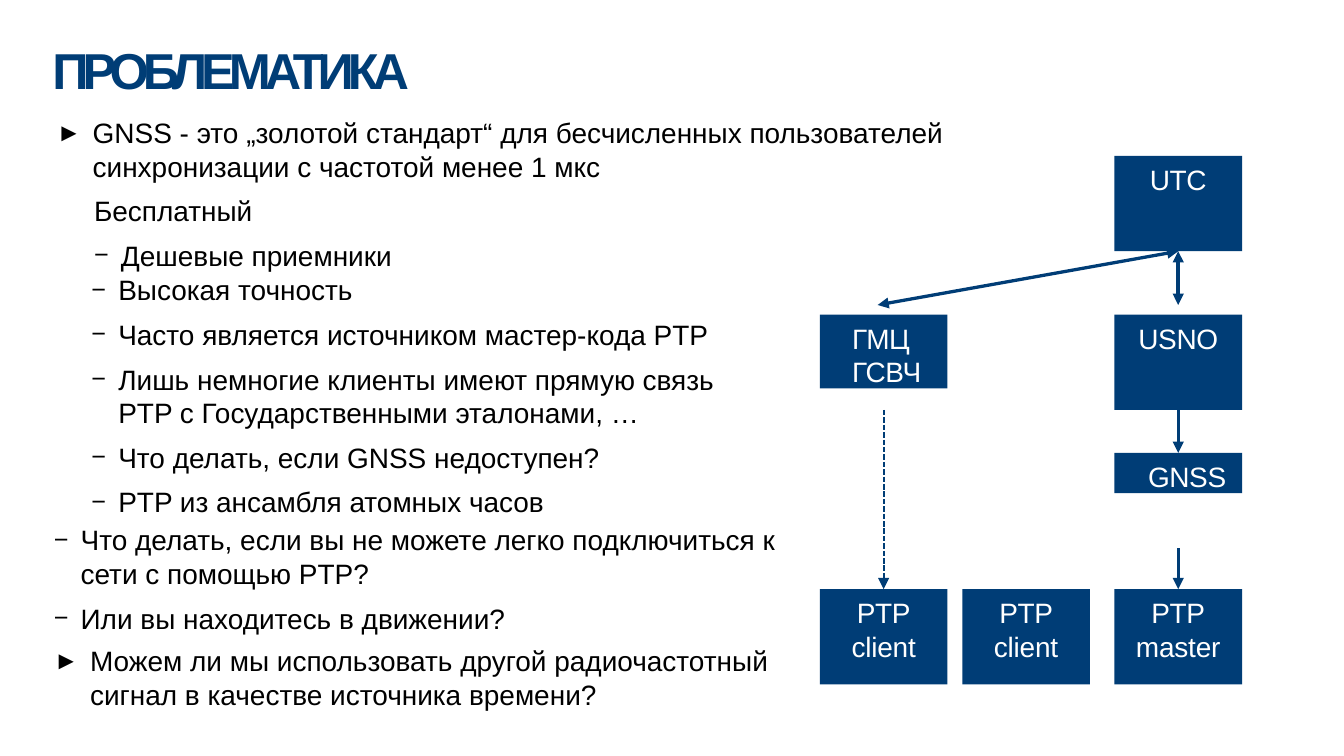
import pptx
import pptx.dml.color
import pptx.enum.dml
import pptx.enum.shapes
import pptx.enum.text
import pptx.oxml.ns
import pptx.util
from lxml import etree

Pt = pptx.util.Pt
ALIGN = pptx.enum.text.PP_ALIGN
NAVY, BLACK, WHITE = "003D76", "000000", "FFFFFF"
BOX_WIDTH, BOX_HEIGHT = 68.4, 51.1
LEFT_COLUMN, MIDDLE_COLUMN, RIGHT_COLUMN = 439.2, 515.5, 597
CLIENT_TOP = 315.6

ARROW = ("►", 20.9, 19.4)
DASH = ("−", 36, 14.4)
OUTER_DASH = ("−", 15.1, 14.4)
PLAIN = (None, 21.6, 0)


def colour(hex_string):
    return pptx.dml.color.RGBColor.from_string(hex_string)


def add_xml(parent, tag, **attributes):
    return etree.SubElement(parent, pptx.oxml.ns.qn(tag), attributes)


def style_font(paragraph, size, hex_string, tracking=0, bold=False):
    font = paragraph.font
    font.name, font.size, font.bold = "Arial", Pt(size), bold
    font.color.rgb = colour(hex_string)
    if tracking:
        for run in paragraph.runs:
            run._r.get_or_add_rPr().set("spc", str(round(tracking * 100)))


def prepare_frame(frame, top_inset):
    frame.word_wrap = True
    frame.vertical_anchor = pptx.enum.text.MSO_ANCHOR.TOP
    frame.margin_left = frame.margin_right = frame.margin_bottom = 0
    frame.margin_top = Pt(top_inset)


def add_text_area(slide, left, top, width, height, top_inset):
    area = slide.shapes.add_textbox(Pt(left), Pt(top), Pt(width), Pt(height))
    prepare_frame(area.text_frame, top_inset)
    return area.text_frame


def set_paragraphs(frame, texts):
    frame.text = "\n".join(texts)
    return frame.paragraphs


def add_title(slide, text):
    frame = add_text_area(slide, 28.1, -7.9, 669, 61.2, 28.8)
    heading = set_paragraphs(frame, [text])[0]
    heading.space_before = Pt(1)
    style_font(heading, 27, NAVY, tracking=-3.2, bold=True)


def add_list(slide, left, top, width, height, items, top_inset=5.8, gap=5.9):
    frame = add_text_area(slide, left, top, width, height, top_inset)
    paragraphs = set_paragraphs(frame, [text for _, text in items])
    for paragraph, ((bullet, margin, hanging), _) in zip(paragraphs, items):
        paragraph.space_before = Pt(gap)
        properties = paragraph._p.get_or_add_pPr()
        properties.set("marL", str(Pt(margin)))
        properties.set("indent", str(-Pt(hanging)))
        if bullet:
            add_xml(properties, "a:buSzPct", val="90000")
            add_xml(properties, "a:buFont", typeface="Arial")
            add_xml(properties, "a:buChar", char=bullet)
        style_font(paragraph, 15, BLACK)


def add_node(slide, left, top, lines, height=BOX_HEIGHT, indent=None):
    node = slide.shapes.add_shape(
        pptx.enum.shapes.MSO_SHAPE.RECTANGLE,
        Pt(left), Pt(top), Pt(BOX_WIDTH), Pt(height))
    node.shadow.inherit = False
    node.fill.solid()
    node.fill.fore_color.rgb = colour(NAVY)
    node.line.fill.background()
    prepare_frame(node.text_frame, 3.6)
    for number, paragraph in enumerate(set_paragraphs(node.text_frame, lines)):
        paragraph.space_before = Pt(0 if number else 3.3)
        paragraph.alignment = ALIGN.CENTER if indent is None else ALIGN.LEFT
        if indent is not None:
            paragraph._p.get_or_add_pPr().set("marL", str(Pt(indent)))
        style_font(paragraph, 15, WHITE, tracking=-0.1 if number else -0.2)
    return node


def add_arrow(slide, start, end, width=1.5, source=None, target=None,
              two_way=False, dashed=False):
    arrow = slide.shapes.add_connector(
        pptx.enum.shapes.MSO_CONNECTOR.STRAIGHT, *map(Pt, start + end))
    if source is not None:
        arrow.begin_connect(source, 2)
    if target is not None:
        arrow.end_connect(target, 0)
    arrow.line.color.rgb = colour(NAVY)
    arrow.line.width = Pt(width)
    if dashed:
        arrow.line.dash_style = pptx.enum.dml.MSO_LINE.SQUARE_DOT
        dash = arrow.line._get_or_add_ln().find(pptx.oxml.ns.qn("a:prstDash"))
        dash.set("val", "sysDash")
    outline = arrow.line._get_or_add_ln()
    if two_way:
        add_xml(outline, "a:headEnd", type="triangle")
    add_xml(outline, "a:tailEnd", type="triangle")
    add_xml(arrow._element.spPr, "a:effectLst")


def add_questions(slide):
    add_list(slide, 28.8, 56.2, 554.4, 90, [
        (ARROW, "GNSS - это „золотой стандарт“ для бесчисленных пользователей "
                "синхронизации с частотой менее 1 мкс"),
        (PLAIN, "Бесплатный"),
        (DASH, "Дешевые приемники"),
    ])
    add_list(slide, 27.4, 140.4, 377.3, 138.2, [
        (DASH, "Высокая точность"),
        (DASH, "Часто является источником мастер-кода PTP"),
        (DASH, "Лишь немногие клиенты имеют прямую связь PTP с "
               "Государственными эталонами, …"),
        (DASH, "Что делать, если GNSS недоступен?"),
        (DASH, "PTP из ансамбля атомных часов"),
    ])
    add_list(slide, 28.1, 274.3, 409.7, 66.2, [
        (OUTER_DASH, "Что делать, если вы не можете легко подключиться к сети "
                     "с помощью PTP?"),
        (OUTER_DASH, "Или вы находитесь в движении?"),
    ])
    add_list(slide, 27.4, 344.2, 419.8, 37.4, [
        (ARROW, "Можем ли мы использовать другой радиочастотный сигнал "
                "в качестве источника времени?"),
    ], top_inset=0.7, gap=1)


def add_time_chain(slide):
    add_node(slide, LEFT_COLUMN, 168.5, ["ГМЦ ГСВЧ"], 39.6, indent=17.3)
    utc = add_node(slide, RIGHT_COLUMN, 83.5, ["UTC"])
    usno = add_node(slide, RIGHT_COLUMN, 168.5, ["USNO"])
    gnss = add_node(slide, RIGHT_COLUMN, 242.6, ["GNSS"], 21.6, indent=18)
    master = add_node(slide, RIGHT_COLUMN, CLIENT_TOP, ["PTP", "master"])
    add_node(slide, MIDDLE_COLUMN, CLIENT_TOP, ["PTP", "client"])
    client = add_node(slide, LEFT_COLUMN, CLIENT_TOP, ["PTP", "client"])

    left_axis = LEFT_COLUMN + BOX_WIDTH / 2
    right_axis = RIGHT_COLUMN + BOX_WIDTH / 2
    utc_exit = (right_axis, 134.6)
    add_arrow(slide, utc_exit, (470.2, 163.4), 1.75, source=utc, two_way=True)
    add_arrow(slide, utc_exit, (right_axis, 163.4), 2, source=utc, two_way=True)
    add_arrow(slide, (right_axis, 219.6), (right_axis, 242.6),
              source=usno, target=gnss)
    add_arrow(slide, (right_axis, 293.8), (right_axis, CLIENT_TOP),
              target=master)
    add_arrow(slide, (left_axis, 219.6), (left_axis, CLIENT_TOP), 1,
              target=client, dashed=True)


def main():
    presentation = pptx.Presentation()
    presentation.slide_width, presentation.slide_height = Pt(720), Pt(405)
    slide = presentation.slides.add_slide(presentation.slide_layouts[6])
    add_title(slide, "ПРОБЛЕМАТИКА")
    add_questions(slide)
    add_time_chain(slide)
    presentation.save("out.pptx")


if __name__ == "__main__":
    main()
